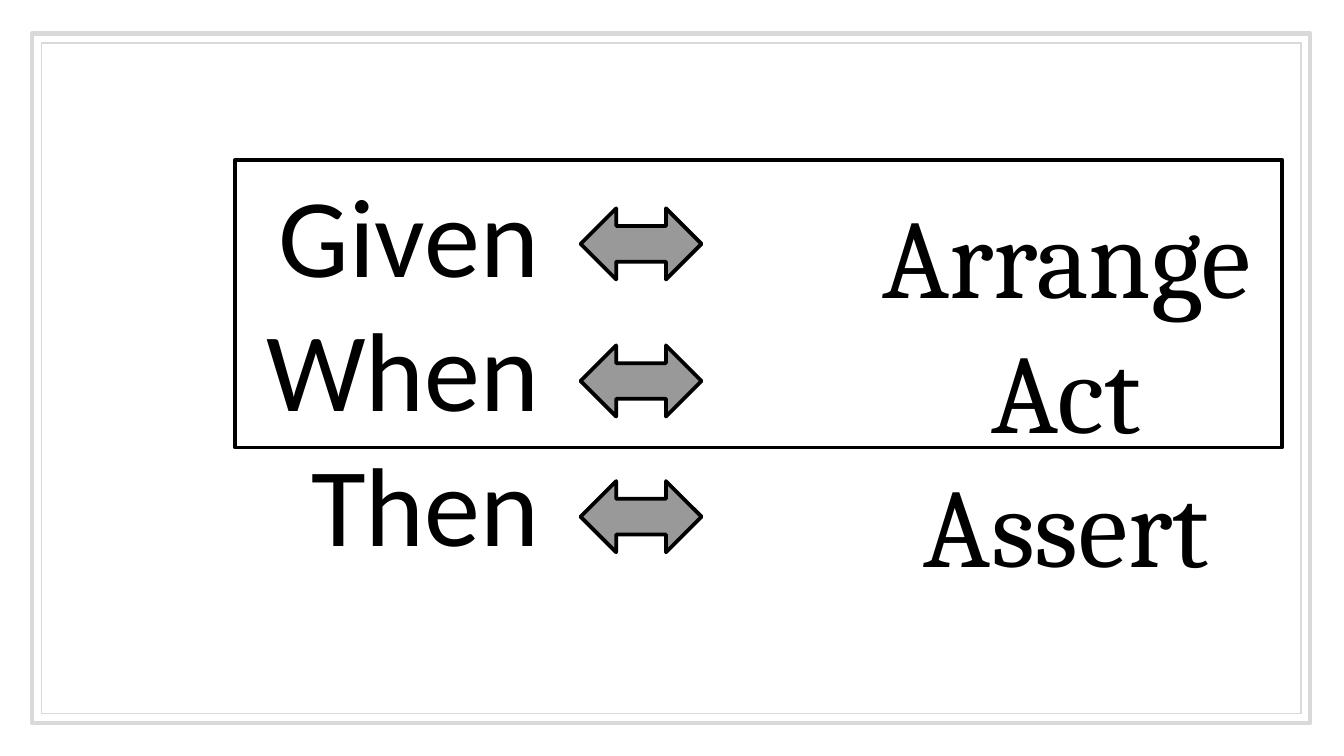
from pptx import Presentation
from pptx import util as u
from pptx.dml import color
from pptx.enum import shapes, text

BLACK = color.RGBColor(0x00, 0x00, 0x00)
GRAY = color.RGBColor(0x99, 0x99, 0x99)
LIGHT_GRAY = color.RGBColor(0xD9, 0xD9, 0xD9)


def add_outlined_shape(slide, kind, box, line_color, line_width, fill_color=None):
    shape = slide.shapes.add_shape(kind, *map(u.Inches, box))
    shape.shadow.inherit = False
    if fill_color is None:
        shape.fill.background()
    else:
        shape.fill.solid()
        shape.fill.fore_color.rgb = fill_color
    shape.line.color.rgb = line_color
    shape.line.width = u.Pt(line_width)


def set_words(shape, words, font_name, alignment, anchor):
    frame = shape.text_frame
    frame.word_wrap = True
    frame.auto_size = text.MSO_AUTO_SIZE.NONE
    frame.vertical_anchor = anchor
    frame.margin_left = frame.margin_right = u.Inches(0.1)
    frame.margin_top = frame.margin_bottom = u.Inches(0.1)
    paragraph = frame.paragraphs[0]
    paragraph.text = "\n".join(words)
    paragraph.alignment = alignment
    paragraph.line_spacing = u.Pt(72)
    for run in paragraph.runs:
        run.font.name = font_name
        run.font.size = u.Pt(60)
        run.font.color.rgb = BLACK


def place_title(slide, words):
    title = slide.shapes.title
    title.left, title.top = u.Inches(5.36), u.Inches(1.45)
    title.width, title.height = u.Inches(5.15), u.Inches(2.88)
    set_words(title, words, "Cambria", text.PP_ALIGN.CENTER, text.MSO_ANCHOR.MIDDLE)


def add_left_words(slide, words):
    box = slide.shapes.add_textbox(*map(u.Inches, (1.58, 1.45, 2.53, 2.88)))
    set_words(box, words, "Calibri", text.PP_ALIGN.RIGHT, text.MSO_ANCHOR.BOTTOM)


def main():
    presentation = Presentation()
    presentation.slide_width = u.Inches(10)
    presentation.slide_height = presentation.slide_width * 9 // 16
    slide = presentation.slides.add_slide(presentation.slide_layouts[0])
    subtitle = slide.placeholders[1].element
    subtitle.getparent().remove(subtitle)

    rectangle = shapes.MSO_SHAPE.RECTANGLE
    add_outlined_shape(slide, rectangle, (0.24, 0.25, 9.51, 5.13), LIGHT_GRAY, 2.25)
    add_outlined_shape(slide, rectangle, (0.31, 0.32, 9.37, 4.99), LIGHT_GRAY, 0.75)
    place_title(slide, ["Arrange", "Act", "Assert"])
    add_left_words(slide, ["Given", "When", "Then"])
    for top in (1.55, 2.57, 3.58):
        box = (4.32, top, 0.9, 0.53)
        add_outlined_shape(slide, shapes.MSO_SHAPE.LEFT_RIGHT_ARROW, box, BLACK, 2, GRAY)
    add_outlined_shape(slide, rectangle, (1.75, 1.19, 7.79, 2.14), BLACK, 2)
    presentation.save("out.pptx")


if __name__ == "__main__":
    main()
